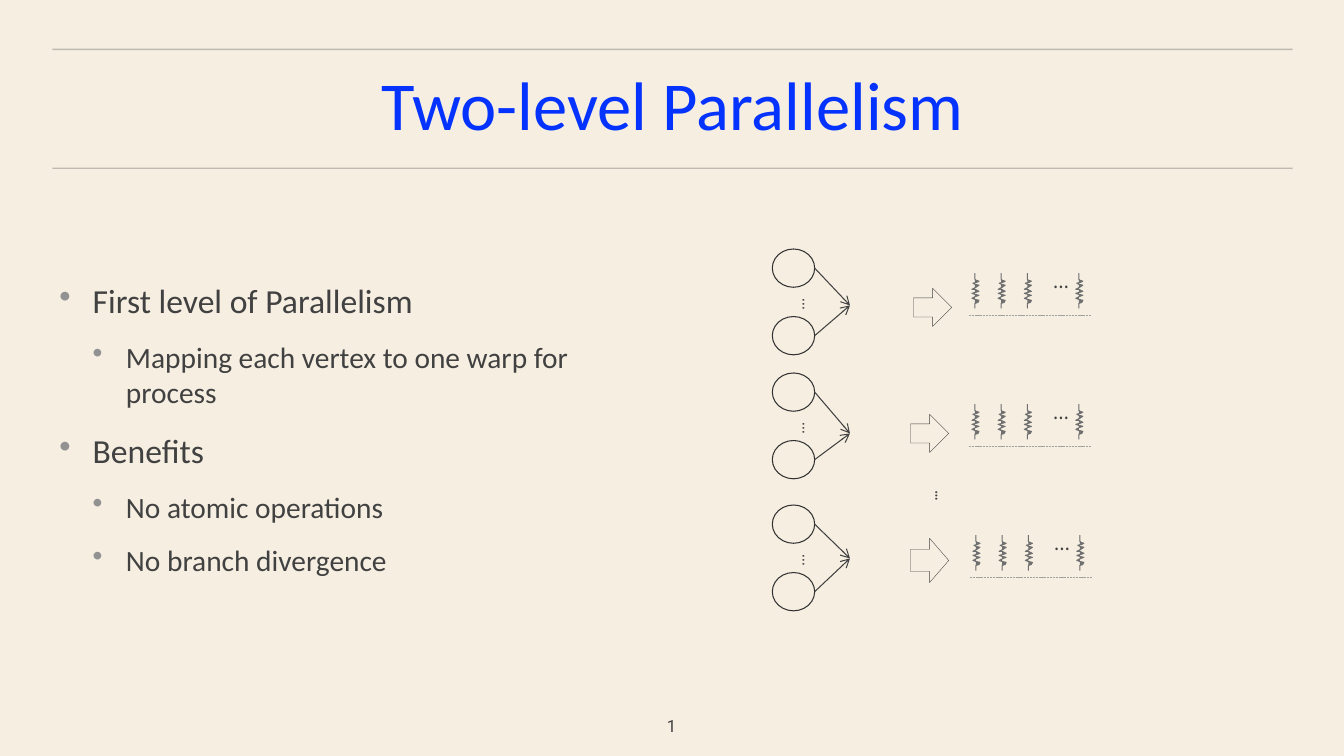
from lxml import etree
from pptx import Presentation
from pptx.dml.color import RGBColor
from pptx.enum.dml import MSO_LINE
from pptx.enum.shapes import MSO_CONNECTOR, MSO_SHAPE
from pptx.enum.text import MSO_ANCHOR, PP_ALIGN
from pptx.oxml.ns import qn
from pptx.util import Inches, Pt

CENTER = PP_ALIGN.CENTER
MIDDLE, TOP = MSO_ANCHOR.MIDDLE, MSO_ANCHOR.TOP
STRAIGHT = MSO_CONNECTOR.STRAIGHT
OVAL, RIGHT_ARROW = MSO_SHAPE.OVAL, MSO_SHAPE.RIGHT_ARROW
DASHED = MSO_LINE.SQUARE_DOT

PAPER, BLUE, INK = "F5EEE1", "0432FF", "414141"
BULLET, THREAD, RULE = "929292", "707070", "444444"
OUTLINE, EDGE, BASELINE = "313131", "404040", "A0A0A0"

POINTS = [
    (0, "First level of Parallelism"),
    (1, "Mapping each vertex to one warp for process"),
    (0, "Benefits"),
    (1, "No atomic operations"),
    (1, "No branch divergence"),
]
LEVELS = [dict(size=24, before=15), dict(size=21, before=13)]

# Top of the vertices, where their edges meet, box of the block arrow, left of the threads
WARPS = [
    (2.47, 3.03, (9.06, 2.86, 0.38, 0.38), 9.64),
    (3.70, 4.30, (9.03, 4.11, 0.38, 0.38), 9.64),
    (5.01, 5.54, (9.03, 5.34, 0.38, 0.44), 9.65),
]
THREADS_TOP, THREADS_PITCH = 2.71, 1.3
THREAD_OFFSETS = (0, 0.26, 0.52, 1.03)
# Outline of one thread, in hundredths of an inch
SQUIGGLE = [(3.3, 0), (3, 5), (3, 6.3), (4, 6.6), (6.8, 8), (5, 9), (1, 10), (3, 11),
            (7, 12.5), (4, 14), (0.4, 15.5), (3, 16.5), (7, 18), (4, 19), (0, 20),
            (3, 21), (7, 22), (4, 23.3), (0, 24.7), (3, 25.7), (7, 27), (5.5, 28.7),
            (3, 30), (3, 31), (3, 35)]


def color(hex_code):
    return RGBColor.from_string(hex_code)


def inches(box):
    return [Inches(length) for length in box]


def write(paragraph, text, font="Calibri", size=12, ink=INK, bold=False):
    run = paragraph.add_run()
    run.text = text
    for name, value in dict(name=font, size=Pt(size), bold=bold).items():
        setattr(run.font, name, value)
    run.font.color.rgb = color(ink)
    return run


def set_frame(frame, margin, anchor, wrap=True):
    formats = dict(word_wrap=wrap, vertical_anchor=anchor)
    if margin is not None:
        formats.update({f"margin_{side}": Inches(margin)
                        for side in ("left", "top", "right", "bottom")})
    for name, value in formats.items():
        setattr(frame, name, value)


def add_line(slide, start, end, ink, width):
    line = slide.shapes.add_connector(STRAIGHT, *inches(start + end))
    line.line.color.rgb = color(ink)
    line.line.width = Pt(width)
    etree.SubElement(line._element.spPr, qn("a:effectLst"))
    return line


def add_outlined(slide, kind, box, ink, width):
    shape = slide.shapes.add_shape(kind, *inches(box))
    shape.shadow.inherit = False
    shape.fill.background()
    shape.line.color.rgb = color(ink)
    shape.line.width = Pt(width)


def add_ellipsis(slide, box, size, upright=False, bold=False):
    dots = slide.shapes.add_textbox(*inches(box))
    dots.rotation = 90 if upright else 0
    set_frame(dots.text_frame, None, TOP, wrap=not upright)
    paragraph = dots.text_frame.paragraphs[0]
    paragraph.alignment = CENTER
    write(paragraph, "…", "Cambria", size, bold=bold)


def add_header(slide, box):
    """Place the title between two translucent rules at the box's edges."""
    left, top, width, height = box
    for y in (top, top + height):
        rule = add_line(slide, (left, y), (left + width, y), RULE, 1)
        ink = rule._element.spPr.find(".//" + qn("a:srgbClr"))
        etree.SubElement(ink, qn("a:alpha"), val="30000")
    title = slide.shapes.title
    title.left, title.top, title.width, title.height = inches(
        (left, top + 0.13, width, 0.91))
    set_frame(title.text_frame, 0.06, MIDDLE)
    paragraph = title.text_frame.paragraphs[0]
    paragraph.alignment = CENTER
    paragraph.line_spacing = 0.9
    write(paragraph, "Two-level Parallelism", size=49, ink=BLUE)


def add_points(slide, box):
    frame = slide.shapes.add_textbox(*inches(box)).text_frame
    set_frame(frame, 0.06, MIDDLE)
    for number, (level, text) in enumerate(POINTS):
        paragraph = frame.add_paragraph() if number else frame.paragraphs[0]
        paragraph.level = level
        props = paragraph._p.get_or_add_pPr()
        indent = Inches(0.33)
        props.set("marL", str(indent * (level + 1)))
        props.set("indent", str(-indent))
        bullet_color = etree.SubElement(props, qn("a:buClr"))
        etree.SubElement(bullet_color, qn("a:srgbClr"), val=BULLET)
        etree.SubElement(props, qn("a:buChar"), char="•")
        if number:
            paragraph.space_before = Pt(LEVELS[level]["before"])
        write(paragraph, text, size=LEVELS[level]["size"])


def add_page_number(slide, box):
    frame = slide.shapes.add_textbox(*inches(box)).text_frame
    set_frame(frame, 0.03, MIDDLE)
    frame.paragraphs[0].alignment = CENTER
    field = write(frame.paragraphs[0], "15", "Roboto")._r
    field.tag = qn("a:fld")
    field.set("id", "{B6F15528-21DE-4FAA-801E-634DDDAF4B2B}")
    field.set("type", "slidenum")


def add_vertices(slide, left, top, meeting_y):
    """Draw two vertices, the dots between them and their meeting edges."""
    width, height, pitch = 0.42, 0.38, 0.67
    for vertex_top in (top, top + pitch):
        add_outlined(slide, OVAL, (left, vertex_top, width, height), OUTLINE, 0.75)
        edge = add_line(slide, (left + width, vertex_top + height / 2),
                        (left + 0.77, meeting_y), EDGE, 0.75)
        etree.SubElement(edge.line._get_or_add_ln(), qn("a:tailEnd"), type="arrow")
    add_ellipsis(slide, (left + 0.1, top + 0.33, 0.41, 0.42), 12, upright=True)


def add_threads(slide, left, top):
    for offset in THREAD_OFFSETS:
        builder = slide.shapes.build_freeform(*SQUIGGLE[0], scale=Inches(0.01))
        builder.add_line_segments(SQUIGGLE[1:], close=False)
        thread = builder.convert_to_shape(Inches(left + offset), Inches(top))
        thread.shadow.inherit = False
        thread.fill.solid()
        thread.fill.fore_color.rgb = color(THREAD)
        thread.line.color.rgb = color(THREAD)
        thread.line.width = Pt(0.75)
    add_ellipsis(slide, (left + 0.58, top - 0.12, 0.59, 0.52), 16)
    base_y = top + 0.42
    baseline = add_line(slide, (left - 0.03, base_y), (left + 1.18, base_y), BASELINE, 0.5)
    baseline.line.dash_style = DASHED


def add_warps(slide, left):
    for row, (top, meeting_y, arrow_box, threads_left) in enumerate(WARPS):
        add_vertices(slide, left, top, meeting_y)
        add_outlined(slide, RIGHT_ARROW, arrow_box, INK, 0.25)
        add_threads(slide, threads_left, THREADS_TOP + row * THREADS_PITCH)
    add_ellipsis(slide, (left + 1.42, 4.73, 0.39, 0.38), 10, upright=True, bold=True)


def main():
    deck = Presentation()
    deck.slide_width, deck.slide_height = Inches(13.33), Inches(7.5)
    slide = deck.slides.add_slide(deck.slide_layouts[5])
    slide.background.fill.solid()
    slide.background.fill.fore_color.rgb = color(PAPER)
    add_header(slide, (0.52, 0.49, 12.3, 1.18))
    add_points(slide, (0.53, 1.8, 5.89, 4.91))
    add_page_number(slide, (6.42, 7.06, 0.48, 0.28))
    add_warps(slide, 7.66)
    deck.save("out.pptx")


if __name__ == "__main__":
    main()
